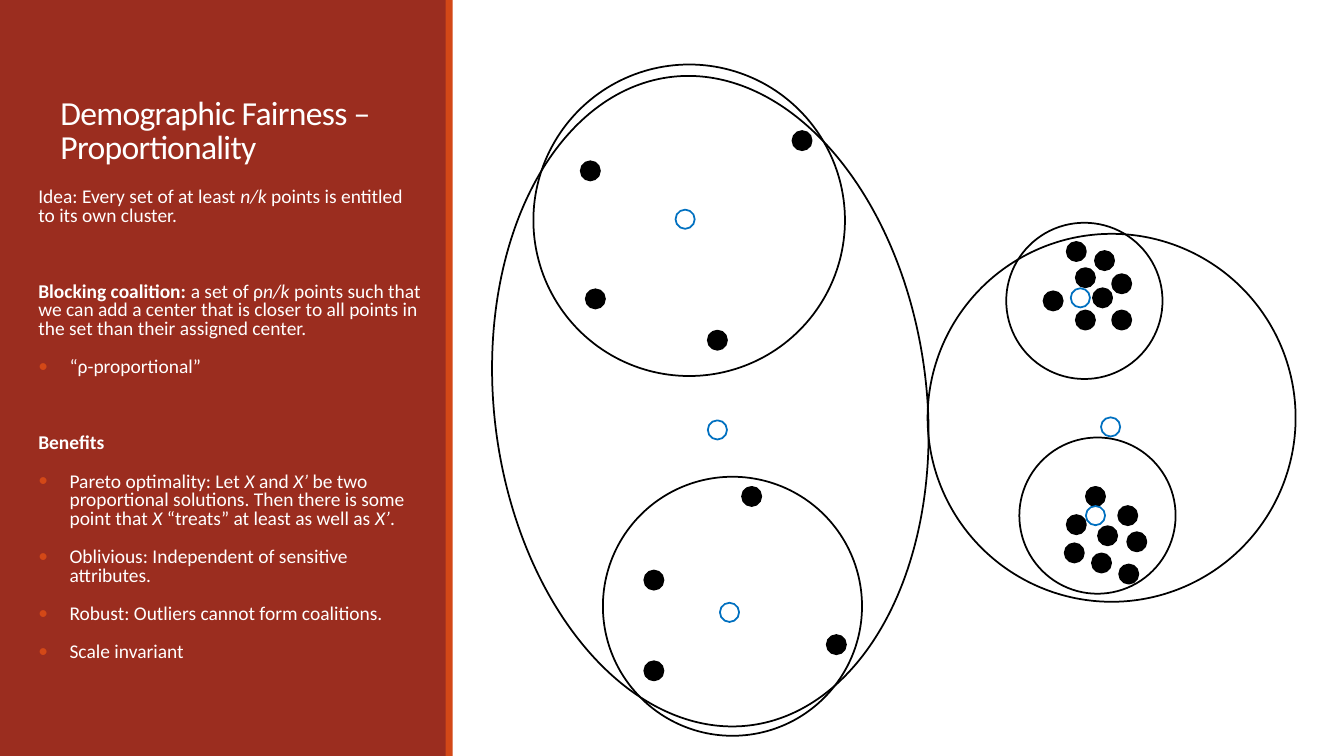
from pptx import Presentation
from pptx.dml.color import RGBColor as RGB
from pptx.enum.shapes import MSO_SHAPE as Shape
from pptx.enum.text import MSO_ANCHOR as Anchor, MSO_AUTO_SIZE as Fit, PP_ALIGN as Align
from pptx.oxml import parse_xml
from pptx.oxml.ns import nsdecls
from pptx.util import Inches, Pt

RED = RGB(0x9B, 0x2D, 0x1F)
ORANGE = RGB(0xD3, 0x48, 0x17)
WHITE = RGB(0xFF, 0xFF, 0xFF)
BLACK = RGB(0, 0, 0)
BLUE = RGB(0, 0x70, 0xC0)

FONT = "Calibri"
DOT = 0.19
GAP = 12
WIDE = 39
INDENT = 0.31

PLAIN, BOLD, ITALIC = "", "b", "i"

LINES = [
    (False, GAP, [("Idea: Every set of at least ", PLAIN), ("n/k", ITALIC),
                  (" points is entitled to its own cluster.", PLAIN)]),
    (False, WIDE, [("Blocking coalition:", BOLD), (" a set of ρ", PLAIN), ("n/k", ITALIC),
                   (" points such that we can add a center that is closer to all points"
                    " in the set than their assigned center.", PLAIN)]),
    (True, GAP, [("“ρ-proportional”", PLAIN)]),
    (False, WIDE, [("Benefits", BOLD)]),
    (True, GAP, [("Pareto optimality: Let ", PLAIN), ("X", ITALIC), (" and", PLAIN),
                 (" X’", ITALIC),
                 (" be two proportional solutions. Then there is some point that ", PLAIN),
                 ("X", ITALIC), (" “treats” at least as well as ", PLAIN),
                 ("X’", ITALIC), (".", PLAIN)]),
    (True, GAP, [("Oblivious: Independent of sensitive attributes.", PLAIN)]),
    (True, GAP, [("Robust: Outliers cannot form coalitions.", PLAIN)]),
    (True, GAP, [("Scale invariant", PLAIN)]),
]

# ring (left, top, width, height, turn), center, points
CLUSTERS = [
    ((0.4, 0.74, 4.29, 6.48, -6.9), (2.52, 4.17), []),
    ((0.79, 0.64, 3.09, 3.09, 0), (2.2, 2.08),
     [(1.26, 1.6), (3.36, 1.3), (1.31, 2.87), (2.52, 3.28)]),
    ((4.7, 2.32, 3.65, 3.65, 0), (6.42, 4.14), []),
    ((5.61, 4.34, 1.55, 1.55, 0), (6.27, 5.02),
     [(6.27, 4.83), (6.08, 5.11), (6.39, 5.22), (6.06, 5.39),
      (6.59, 5.02), (6.33, 5.49), (6.68, 5.28), (6.6, 5.6)]),
    ((5.48, 2.21, 1.55, 1.55, 0), (6.12, 2.86),
     [(6.08, 2.4), (5.85, 2.89), (6.17, 2.66), (6.17, 3.08),
      (6.53, 2.72), (6.34, 2.86), (6.53, 3.08), (6.36, 2.49)]),
    ((1.48, 4.73, 2.57, 2.57, 0), (2.64, 5.98),
     [(1.89, 6.56), (2.86, 4.83), (1.89, 5.66), (3.7, 6.3)]),
]


def add_form(slide, kind, box, fill=None, line=None):
    form = slide.shapes.add_shape(kind, *map(Inches, box))
    form.shadow.inherit = False
    if fill is None:
        form.fill.background()
    else:
        form.fill.solid()
        form.fill.fore_color.rgb = fill
    if line is None:
        form.line.fill.background()
    else:
        form.line.color.rgb = line
        form.line.width = Pt(1.25)
    return form


def add_run(para, text, size, style=PLAIN):
    run = para.add_run()
    run.text = text
    font = run.font
    font.name, font.size = FONT, Pt(size)
    font.color.rgb = WHITE
    font.bold, font.italic = style == BOLD, style == ITALIC
    return run


def place(holder, box, anchor):
    holder.left, holder.top, holder.width, holder.height = map(Inches, box)
    frame = holder.text_frame
    frame.word_wrap = True
    frame.auto_size = Fit.NONE
    frame.vertical_anchor = anchor
    holder._element.getparent().append(holder._element)
    return frame


def set_bullet(para, shown):
    props = para._p.get_or_add_pPr()
    indent = Inches(INDENT) if shown else 0
    props.set("marL", str(indent))
    props.set("indent", str(-indent))
    space = nsdecls("a")
    if shown:
        props.append(parse_xml(f'<a:buClr {space}><a:srgbClr val="{ORANGE}"/></a:buClr>'))
        props.append(parse_xml(f'<a:buFont {space} typeface="{FONT}"/>'))
        props.append(parse_xml(f'<a:buChar {space} char="•"/>'))
    else:
        props.append(parse_xml(f"<a:buNone {space}/>"))


def add_panel(slide, box):
    left, top, width, height = box
    add_form(slide, Shape.RECTANGLE, (left, top, width - 0.06, height), RED)
    add_form(slide, Shape.RECTANGLE, (left + width - 0.07, top, 0.07, height), ORANGE)

    title, body = slide.placeholders
    frame = place(title, (left + 0.5, top + 0.65, 3.74, 1.05), Anchor.BOTTOM)
    para = frame.paragraphs[0]
    para.alignment = Align.LEFT
    para.line_spacing = 0.85
    run = add_run(para, "Demographic Fairness – Proportionality", 24)
    run.font._element.set("spc", "-50")

    frame = place(body, (left + 0.28, top + 1.82, 4.02, 5.08), Anchor.TOP)
    for order, (bullet, before, parts) in enumerate(LINES):
        para = frame.add_paragraph() if order else frame.paragraphs[0]
        para.alignment = Align.LEFT
        para.line_spacing = 0.8
        para.space_before, para.space_after = Pt(before), Pt(2)
        set_bullet(para, bullet)
        for text, style in parts:
            add_run(para, text, 13.9, style)


def add_graph(slide, box):
    left, top = box[:2]

    def add_oval(x, y, width, height, fill, line):
        return add_form(slide, Shape.OVAL, (left + x, top + y, width, height), fill, line)

    for _, _, points in CLUSTERS:
        for x, y in points:
            add_oval(x, y, DOT, DOT, BLACK, BLACK)
    for _, (x, y), _ in CLUSTERS:
        add_oval(x, y, DOT, DOT, None, BLUE)
    for (x, y, width, height, turn), _, _ in CLUSTERS:
        add_oval(x, y, width, height, None, BLACK).rotation = turn


deck = Presentation()
deck.slide_width, deck.slide_height = Inches(13.33), Inches(7.5)
slide = deck.slides.add_slide(deck.slide_layouts[1])
add_panel(slide, (0, 0, 4.49, 7.5))
add_graph(slide, (4.5, 0, 8.83, 7.5))
deck.save("out.pptx")
